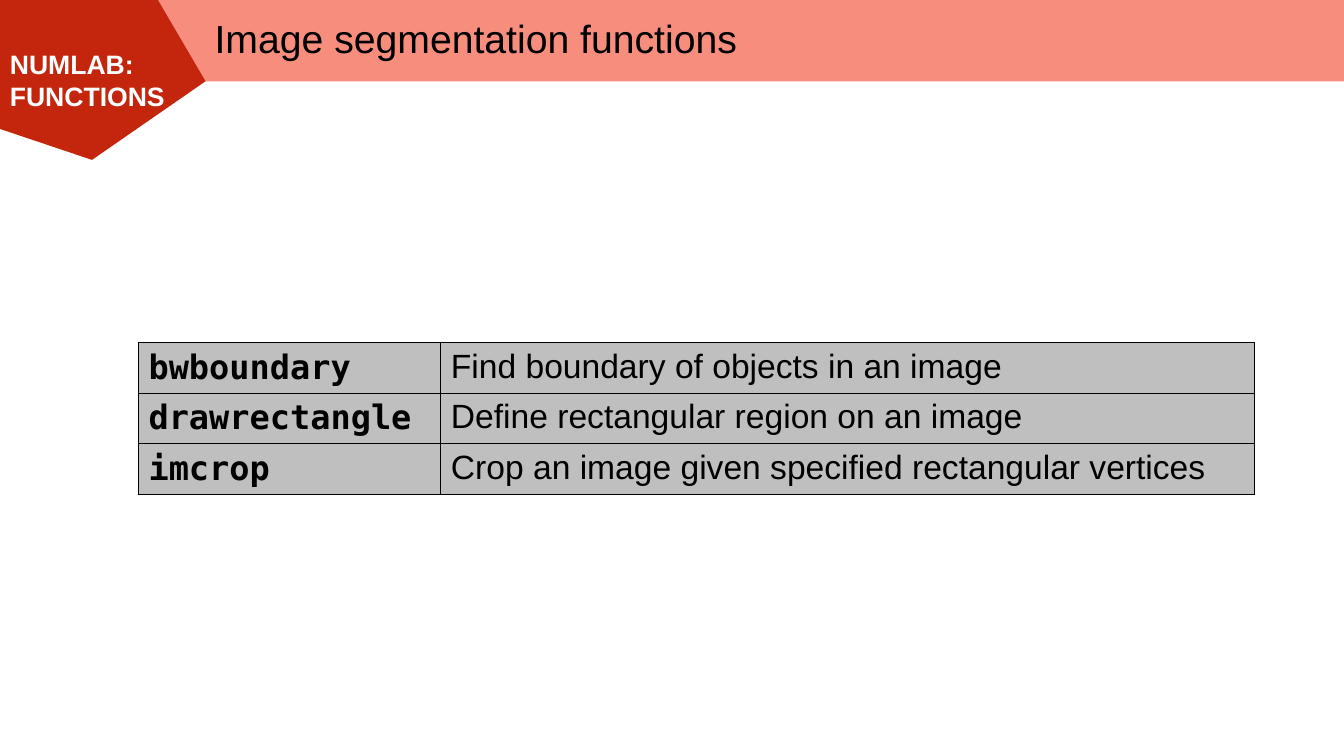
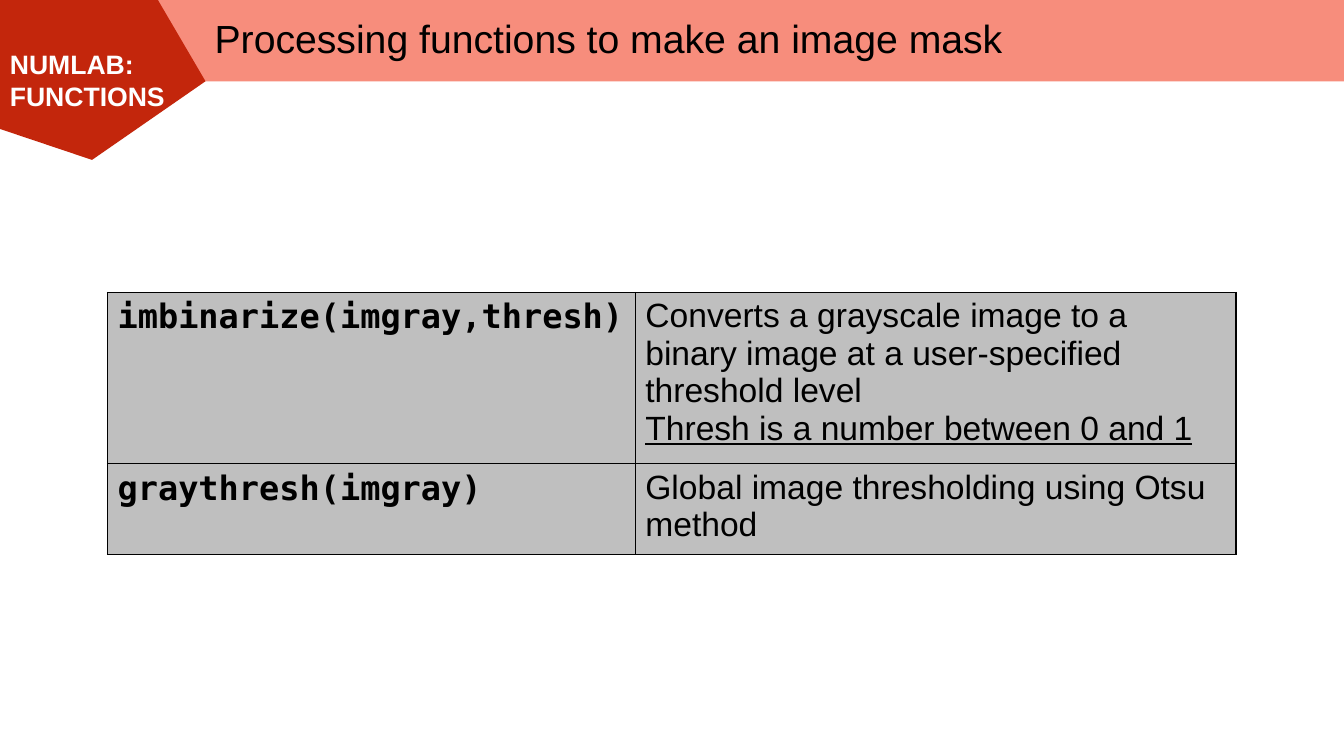
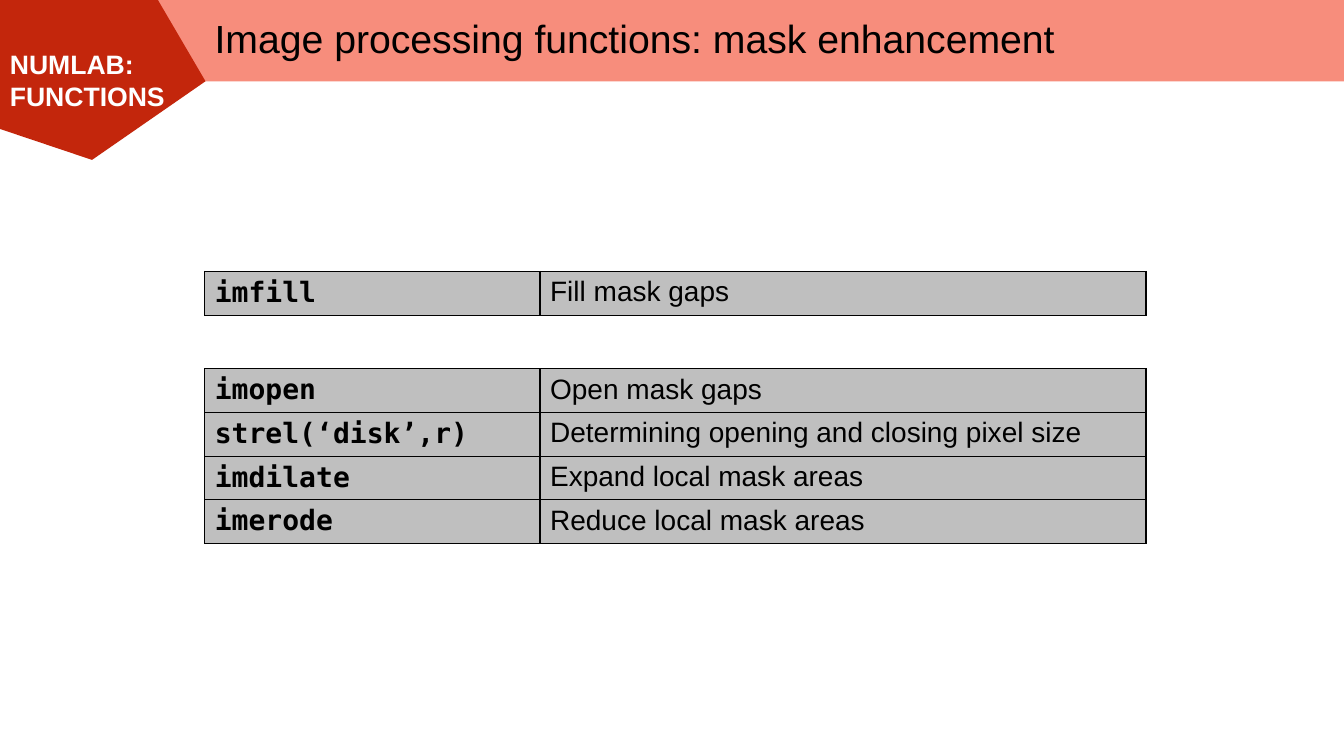
from lxml import etree
from pptx import Presentation
from pptx import util as u
from pptx.dml.color import RGBColor
from pptx.enum import shapes, text
from pptx.oxml.ns import qn

Cm, Pt = u.Cm, u.Pt
WIDTH, HEIGHT = 33.87, 19.05
BAND_HEIGHT = 2.05
ROW_HEIGHT = 1.04  # least height; rows grow with their text
COLORS = {"band": "F78D7C", "badge": "C3260C", "cell": "BFBFBF",
          "ink": "000000", "white": "FFFFFF"}
SANS, MONO = "Arial", "DejaVu Sans Mono"


class Deck:
    """Holds the shared style and the slide being built."""

    def __init__(self):
        self.prs = Presentation()
        self.prs.slide_width, self.prs.slide_height = Cm(WIDTH), Cm(HEIGHT)
        self.s = None

    def slide(self, title):
        self.s = self.prs.slides.add_slide(self.prs.slide_layouts[6])
        self.band()
        self.badge("NUMLAB: FUNCTIONS")
        self.title(title)

    def paint(self, shape, color):
        """Give a shape a flat fill with no line or shadow."""
        shape.shadow.inherit = False
        shape.fill.solid()
        shape.fill.fore_color.rgb = RGBColor.from_string(COLORS[color])
        shape.line.fill.background()

    def run(self, p, words, size, font=SANS, color="ink", bold=False):
        r = p.add_run()
        r.text = words
        r.font.name, r.font.size, r.font.bold = font, Pt(size), bold
        r.font.color.rgb = RGBColor.from_string(COLORS[color])
        return r

    def band(self):
        left = 2.33
        sp = self.s.shapes.add_shape(shapes.MSO_SHAPE.RECTANGLE, Cm(left), 0,
                                     Cm(WIDTH - left), Cm(BAND_HEIGHT))
        self.paint(sp, "band")

    def badge(self, words):
        outline = [(0, 0), (0, 3.25), (2.32, 4.03), (5.18, BAND_HEIGHT)]
        builder = self.s.shapes.build_freeform(Cm(3.98), 0)
        builder.add_line_segments([(Cm(x), Cm(y)) for x, y in outline])
        sp = builder.convert_to_shape()
        self.paint(sp, "badge")
        tf = sp.text_frame
        tf.word_wrap = True
        tf.vertical_anchor = text.MSO_ANCHOR.MIDDLE
        p = tf.paragraphs[0]
        p.alignment = text.PP_ALIGN.LEFT
        self.run(p, words, 19, color="white", bold=True)

    def title(self, words):
        left = 5.16
        sp = self.s.shapes.add_textbox(Cm(left), Cm(0.24),
                                       Cm(WIDTH - left), Cm(1.57))
        tf = sp.text_frame
        tf.word_wrap = True
        tf.vertical_anchor = text.MSO_ANCHOR.MIDDLE
        p = tf.paragraphs[0]
        p.line_spacing = 0.9
        self.run(p, words, 28)

    def style_cell(self, cell):
        """Draw thin borders, then fill; the schema wants that order."""
        tc_pr = cell._tc.get_or_add_tcPr()
        for side in ("lnL", "lnR", "lnT", "lnB"):
            ln = etree.SubElement(tc_pr, qn(f"a:{side}"), w=str(Pt(1)))
            fill = etree.SubElement(ln, qn("a:solidFill"))
            etree.SubElement(fill, qn("a:srgbClr"), val=COLORS["ink"])
        cell.fill.solid()
        cell.fill.fore_color.rgb = RGBColor.from_string(COLORS["cell"])

    def functions(self, left, top, cols, size, rows):
        """Table of (function, meaning[, underlined note]) rows."""
        table = self.s.shapes.add_table(
            len(rows), len(cols), Cm(left), Cm(top),
            Cm(sum(cols)), Cm(ROW_HEIGHT * len(rows))).table
        table.first_row = table.horz_banding = False
        for column, width in zip(table.columns, cols):
            column.width = Cm(width)
        for row, (name, meaning, *notes) in zip(table.rows, rows):
            for cell in row.cells:
                self.style_cell(cell)
            name_cell, meaning_cell = row.cells
            self.run(name_cell.text_frame.paragraphs[0], name, size, MONO, bold=True)
            tf = meaning_cell.text_frame
            self.run(tf.paragraphs[0], meaning, size)
            for note in notes:
                self.run(tf.add_paragraph(), note, size).font.underline = True


def main():
    deck = Deck()

    deck.slide("Image segmentation functions")
    deck.functions(3.49, 8.64, [7.62, 20.5], 24, [
        ("bwboundary", "Find boundary of objects in an image"),
        ("drawrectangle", "Define rectangular region on an image"),
        ("imcrop", "Crop an image given specified rectangular vertices"),
    ])

    deck.slide("Processing functions to make an image mask")
    deck.functions(2.71, 7.37, [13.3, 15.14], 24, [
        ("imbinarize(imgray,thresh)",
         "Converts a grayscale image to a binary image at a user-specified "
         "threshold level",
         "Thresh is a number between 0 and 1"),
        ("graythresh(imgray)", "Global image thresholding using Otsu method"),
    ])

    deck.slide("Image processing functions: mask enhancement")
    mask_tables = [
        (6.84, [("imfill", "Fill mask gaps")]),
        (9.29, [("imopen", "Open mask gaps"),
                ("strel(‘disk’,r)", "Determining opening and closing pixel size"),
                ("imdilate", "Expand local mask areas"),
                ("imerode", "Reduce local mask areas")]),
    ]
    for top, rows in mask_tables:
        deck.functions(5.16, top, [8.45, 15.27], 20, rows)

    deck.prs.save("out.pptx")


if __name__ == "__main__":
    main()
